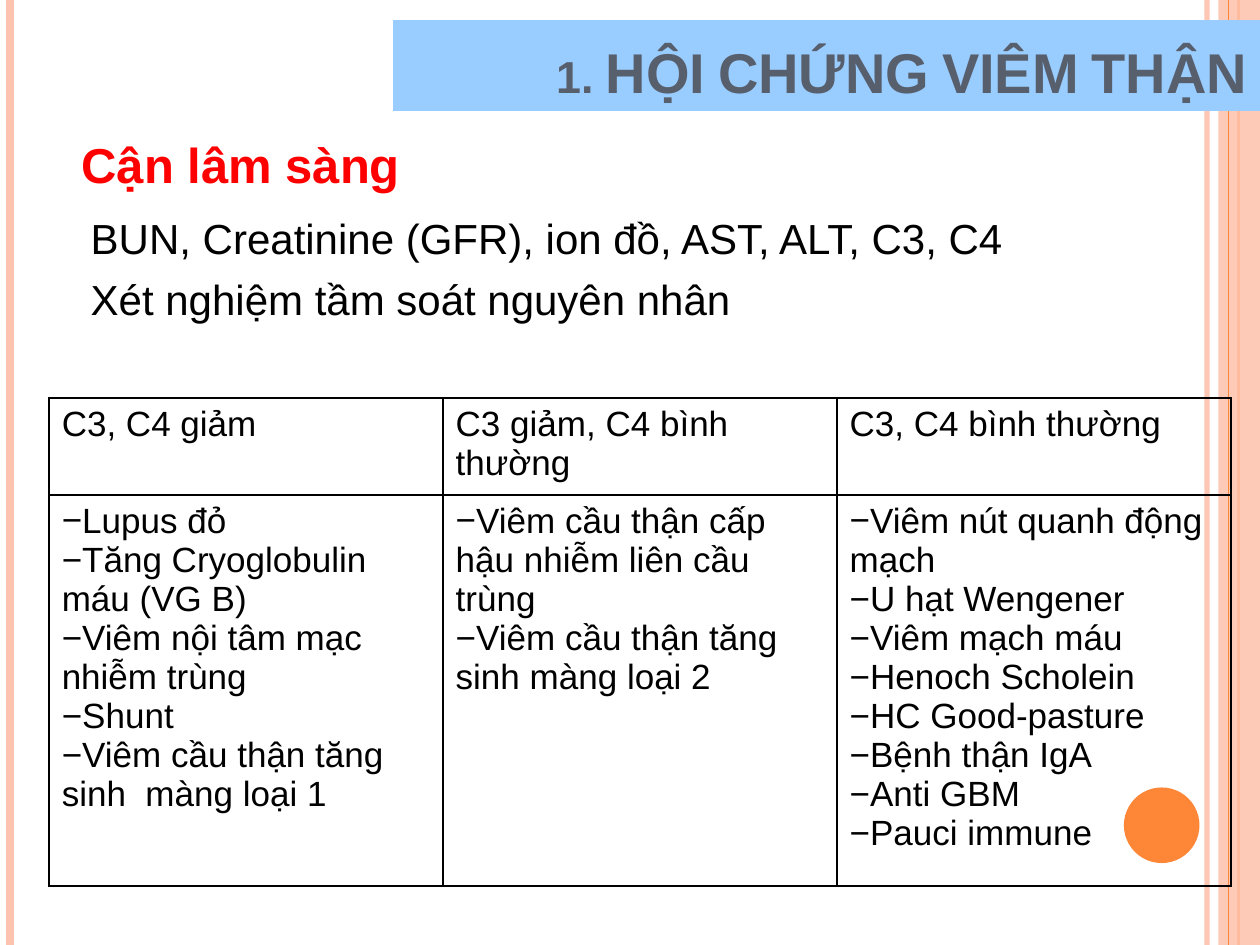
from lxml.etree import SubElement
from pptx import Presentation
from pptx.dml.color import RGBColor
from pptx.enum.shapes import MSO_CONNECTOR as Connector, MSO_SHAPE as Shape
from pptx.enum.text import MSO_ANCHOR as Anchor, MSO_AUTO_SIZE as AutoSize, PP_ALIGN as Align
from pptx.oxml import parse_xml
from pptx.oxml.ns import nsdecls, qn
from pptx.util import Inches, Pt

TITLE = "1. HỘI CHỨNG VIÊM THẬN"
HEADING = "Cận lâm sàng"
TESTS = ["BUN, Creatinine (GFR), ion đồ, AST, ALT, C3, C4", "Xét nghiệm tầm soát nguyên nhân"]
CAUSES = {
    "C3, C4 giảm": [
        "Lupus đỏ", "Tăng Cryoglobulin máu (VG B)", "Viêm nội tâm mạc nhiễm trùng",
        "Shunt", "Viêm cầu thận tăng sinh  màng loại 1"],
    "C3 giảm, C4 bình thường": [
        "Viêm cầu thận cấp hậu nhiễm liên cầu trùng", "Viêm cầu thận tăng sinh màng loại 2"],
    "C3, C4 bình thường": [
        "Viêm nút quanh động mạch", "U hạt Wengener", "Viêm mạch máu", "Henoch Scholein",
        "HC Good-pasture", "Bệnh thận IgA", "Anti GBM", "Pauci immune"],
}
PEACH, ORANGE = "FEC3AE", "FE8637"
STRIPES = [(9.58, PEACH, 3, 93), (0.08, PEACH, 4.5, 100), (9.83, ORANGE, 1.5, 100)]
INNER_STRIPE = (9.75, ORANGE, 0.75, 100)
ROW_HEIGHTS = [0.77, 3.1]


def paint(color_format, color, alpha=100):
    """Set a colour and, below 100, its opacity in percent."""
    color_format.rgb = RGBColor.from_string(color)
    if alpha < 100:
        node = color_format._xFill.find(qn("a:srgbClr"))
        SubElement(node, qn("a:alpha")).set("val", str(alpha * 1000))


def place(shape, left, top, width, height):
    """Move and size a shape in inches."""
    shape.left, shape.top = Inches(left), Inches(top)
    shape.width, shape.height = Inches(width), Inches(height)


def add_stripe(page, x, color, weight, alpha):
    """Draw a full-height vertical line."""
    line = page.shapes.add_connector(Connector.STRAIGHT, Inches(x), 0, Inches(x), Inches(7.5))
    line.line.width = Pt(weight)
    line.line.fill.solid()
    paint(line.line.fill.fore_color, color, alpha)
    SubElement(line._element.spPr, qn("a:effectLst"))


def add_plain(page, kind, box, color, alpha=100):
    """Add a filled shape without outline or shadow."""
    shape = page.shapes.add_shape(kind, *map(Inches, box))
    shape.shadow.inherit = False
    shape.fill.solid()
    fill = shape.fill._xPr.find(qn("a:solidFill"))
    shape.fill.fore_color.rgb = RGBColor.from_string(color)
    if alpha < 100:
        SubElement(fill.find(qn("a:srgbClr")), qn("a:alpha")).set("val", str(alpha * 1000))
    shape.line.fill.background()


def write(frame, lines, size, color="000000", bold=False, bullet=None):
    """Fill a text frame with equally formatted paragraphs."""
    frame.text = "\n".join(lines)
    for para in frame.paragraphs:
        if bullet:
            props = para._p.get_or_add_pPr()
            SubElement(props, qn("a:buFont")).set("typeface", "Arial")
            SubElement(props, qn("a:buChar")).set("char", bullet)
        for span in para.runs:
            span.font.name, span.font.size, span.font.bold = "Arial", Pt(size), bold
            paint(span.font.color, color)


def fill_cell(cell, lines, bullet=None):
    """Write a transparent cell with black borders."""
    write(cell.text_frame, lines, 20, bullet=bullet)
    cell.fill.background()
    props = cell._tc.get_or_add_tcPr()
    for index, side in enumerate("LRTB"):
        props.insert(index, parse_xml(
            f'<a:ln{side} {nsdecls("a")} w="12700"><a:solidFill>'
            f'<a:srgbClr val="000000"/></a:solidFill></a:ln{side}>'))


def add_title(page):
    """Turn the title placeholder into the blue banner."""
    title = page.shapes.title
    place(title, 3.12, 0.16, 6.88, 0.72)
    title.fill.solid()
    paint(title.fill.fore_color, "99CCFF")
    write(title.text_frame, [TITLE], 32, "575F6D", True)
    title.text_frame.auto_size = AutoSize.NONE
    title.text_frame.vertical_anchor = Anchor.BOTTOM
    para = title.text_frame.paragraphs[0]
    para.alignment = Align.RIGHT
    para.runs[0].font._rPr.set("cap", "small")
    return title


def add_body(page):
    """Write the list of tests in the body placeholder."""
    body = page.placeholders[1]
    place(body, 0.62, 1.64, 9.03, 1.17)
    write(body.text_frame, TESTS, 24)
    body.text_frame.auto_size = AutoSize.NONE
    for index, para in enumerate(body.text_frame.paragraphs):
        props = para._p.get_or_add_pPr()
        props.set("marL", str(Inches(0.3)))
        props.set("indent", str(-Inches(0.3)))
        SubElement(props, qn("a:buNone"))
        para.space_before = Pt(6 if index else 0)
    return body


def main():
    """Build and save the slide."""
    deck = Presentation()
    deck.slide_width, deck.slide_height = Inches(10), Inches(7.5)
    page = deck.slides.add_slide(deck.slide_layouts[1])
    for stripe in STRIPES:
        add_stripe(page, *stripe)
    add_plain(page, Shape.RECTANGLE, (9.67, 0, 0.33, 7.5), PEACH, 87)
    add_stripe(page, *INNER_STRIPE)
    add_plain(page, Shape.OVAL, (8.92, 6.25, 0.6, 0.6), ORANGE)
    for placeholder in (add_body(page), add_title(page)):
        page.shapes._spTree.append(placeholder._element)

    box = page.shapes.add_textbox(*map(Inches, (0.55, 1.02, 3.13, 0.57)))
    box.text_frame.word_wrap = True
    write(box.text_frame, [HEADING], 28, "FF0000", True)

    table = page.shapes.add_table(
        2, len(CAUSES), *map(Inches, (0.39, 3.16, 9.38, sum(ROW_HEIGHTS)))).table
    table.first_row = table.horz_banding = False
    for row, height in zip(table.rows, ROW_HEIGHTS):
        row.height = Inches(height)
    for column, (header, causes) in enumerate(CAUSES.items()):
        fill_cell(table.cell(0, column), [header])
        fill_cell(table.cell(1, column), causes, "−")
    deck.save("out.pptx")


if __name__ == "__main__":
    main()
